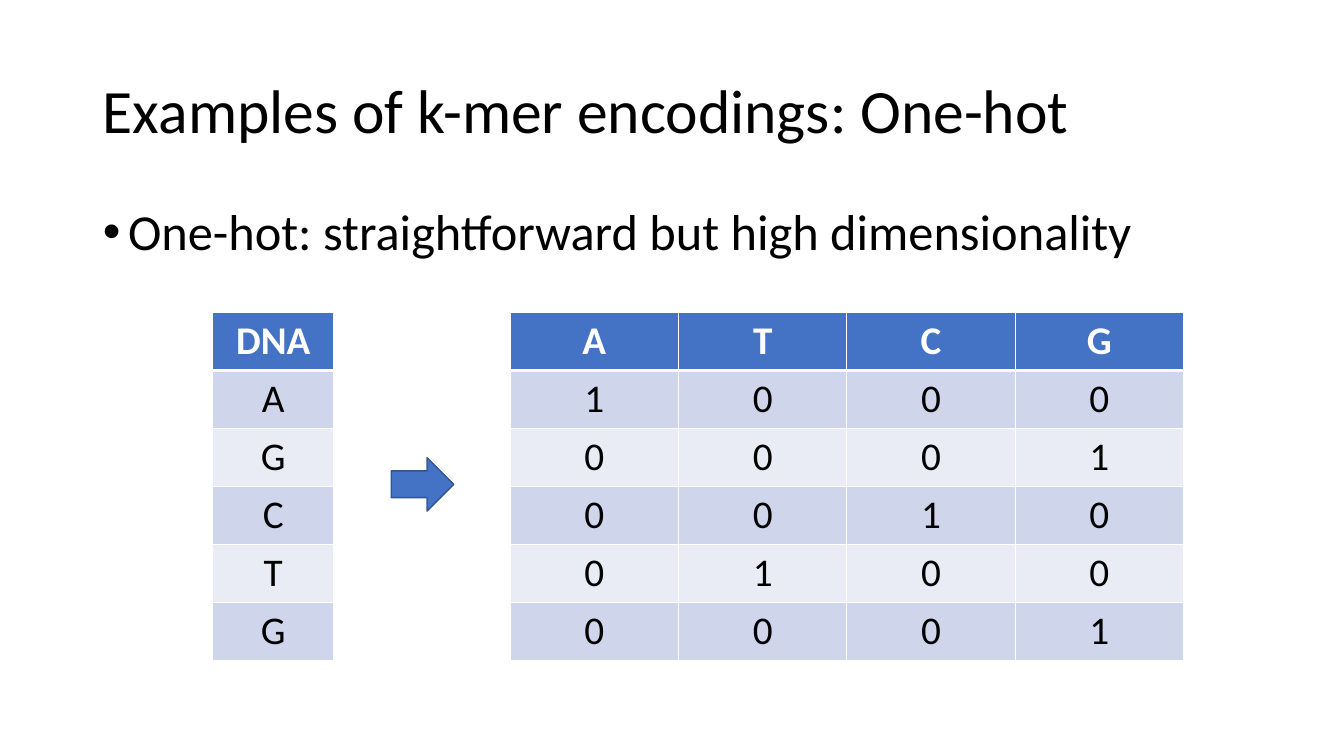
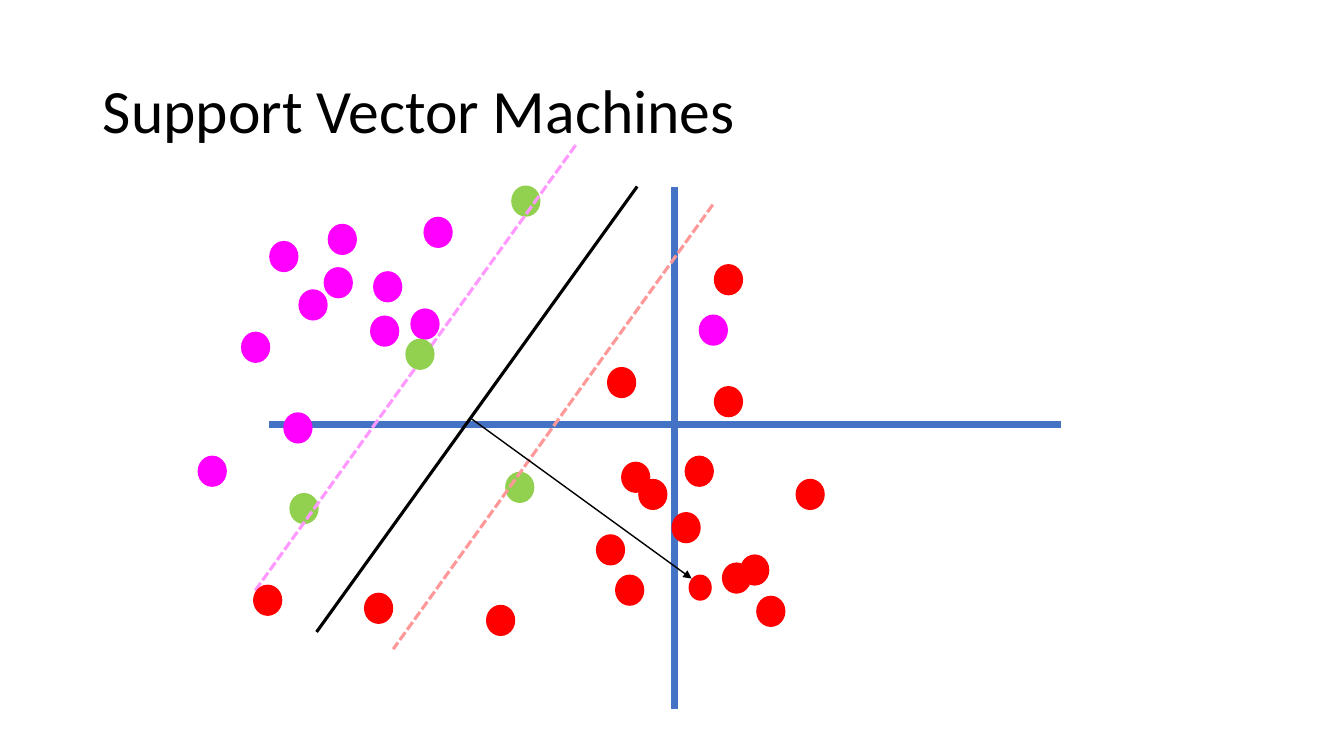
from lxml import etree
from pptx import Presentation
from pptx.dml.color import RGBColor
from pptx.enum import dml, shapes, text
from pptx.oxml import ns
from pptx.util import Inches, Pt

FONT = "Calibri"
COLORS = {
    "black": "000000", "white": "FFFFFF", "blue": "4472C4", "navy": "325491",
    "band_dark": "CFD5EA", "band_light": "E9EBF5",
    "magenta": "FF00FF", "red": "FF0000", "green": "92D050",
    "pink": "FF99FF", "salmon": "FF9999",
}

# Content: one-hot encoding
ENCODING_TITLE = "Examples of k-mer encodings: One-hot"
ENCODING_BULLET = "One-hot: straightforward but high dimensionality"
SEQUENCE = "AGCTG"
BASES = "ATCG"

# Content: support vector machines, dots as (left, top)
SVM_TITLE = "Support Vector Machines"
DOT_SIZE = (0.29, 0.31)
SMALL_DOT_SIZE = (0.23, 0.26)
SMALL_DOT = (6.83, 5.7)
DOTS_BEHIND_LINES = {
    "magenta": [(2.67, 2.39), (2.96, 2.87), (3.25, 2.22), (2.39, 3.29),
                (4.2, 2.15), (4.07, 3.06)],
    "green": [(5.07, 1.84), (2.87, 4.89), (5.01, 4.68)],
    "red": [(6.16, 4.58), (6.79, 4.52), (6.02, 3.64), (7.08, 2.62), (4.82, 6)],
}
DOTS_OVER_LINES = {
    "red": [(5.91, 5.3), (7.08, 3.83), (6.33, 4.75), (6.1, 5.7), (6.66, 5.08),
            (7.89, 4.75), (7.16, 5.58), (7.34, 5.5), (7.5, 5.91),
            (3.61, 5.88), (2.51, 5.8)],
    "magenta": [(3.7, 2.69), (3.21, 2.65), (3.67, 3.13), (2.81, 4.09),
                (1.96, 4.52), (6.93, 3.12)],
    "green": [(4.02, 3.36)],
}
# Lines as start, end, colour, width, dashed
AXES = [
    ((6.69, 1.86), (6.69, 7.03), "blue", 4.5, False),
    ((2.67, 4.21), (10.52, 4.21), "blue", 4.5, False),
]
BOUNDARIES = [
    ((7.07, 2.03), (3.9, 6.44), "salmon", 2.25, True),
    ((5.71, 1.44), (2.53, 5.86), "pink", 2.25, True),
    ((6.32, 1.85), (3.14, 6.27), "black", 2.25, False),
]
NORMAL_VECTOR = ((4.67, 4.15), (6.86, 5.74), "black", 1)


def rgb(name):
    return RGBColor.from_string(COLORS[name])


def sub(parent, tag, **attrs):
    return etree.SubElement(parent, ns.qn(tag), attrs)


def write(tf, content, size, color="black", bold=False, align="LEFT",
          spacing=1.0, before=0):
    p = tf.paragraphs[0]
    p.alignment = getattr(text.PP_ALIGN, align)
    p.line_spacing = spacing
    p.space_before = Pt(before)
    r = p.add_run()
    r.text = content
    r.font.name, r.font.size, r.font.bold = FONT, Pt(size), bold
    r.font.color.rgb = rgb(color)
    return p


def place(sp, left, top, width, height):
    sp.left, sp.top = Inches(left), Inches(top)
    sp.width, sp.height = Inches(width), Inches(height)


def add_slide(prs, layout, title):
    s = prs.slides.add_slide(prs.slide_layouts.get_by_name(layout))
    sp = s.shapes.title
    place(sp, 0.92, 0.4, 11.5, 1.45)
    sp.text_frame.vertical_anchor = text.MSO_ANCHOR.MIDDLE
    sp.text_frame.auto_size = text.MSO_AUTO_SIZE.NONE
    write(sp.text_frame, title, 44, spacing=0.9)
    return s


def add_bullet(sp, content):
    place(sp, 0.92, 2, 11.5, 4.76)
    sp.text_frame.auto_size = text.MSO_AUTO_SIZE.NONE
    p = write(sp.text_frame, content, 36, spacing=0.9, before=10)
    pPr = p._p.get_or_add_pPr()
    pPr.set("marL", str(Inches(0.25)))
    pPr.set("indent", str(Inches(-0.25)))
    sub(pPr, "a:buFont", typeface="Arial")
    sub(pPr, "a:buChar", char="•")


def add_borders(cell, bottom):
    tcPr = cell._tc.get_or_add_tcPr()
    for side, width in (("L", 1), ("R", 1), ("T", 1), ("B", bottom)):
        ln = sub(tcPr, "a:ln" + side, w=str(Pt(width)))
        sub(sub(ln, "a:solidFill"), "a:srgbClr", val=COLORS["white"])


def add_table(s, rows, left, col_width, side_margin, top=3.1, row_height=0.57):
    cols = len(rows[0])
    table = s.shapes.add_table(
        len(rows), cols, Inches(left), Inches(top),
        Inches(col_width * cols), Inches(row_height * len(rows))).table
    for i, row in enumerate(rows):
        header = i == 0
        fill = "blue" if header else "band_dark" if i % 2 else "band_light"
        for j, value in enumerate(row):
            cell = table.cell(i, j)
            cell.margin_left = cell.margin_right = Inches(side_margin)
            add_borders(cell, 3 if header else 1)
            cell.fill.solid()
            cell.fill.fore_color.rgb = rgb(fill)
            write(cell.text_frame, value, 28, bold=header, align="CENTER",
                  color="white" if header else "black")


def add_shape(s, kind, left, top, width, height, fill, line=None):
    sp = s.shapes.add_shape(kind, Inches(left), Inches(top),
                            Inches(width), Inches(height))
    sp.shadow.inherit = False
    sp.fill.solid()
    sp.fill.fore_color.rgb = rgb(fill)
    if line:
        sp.line.color.rgb = rgb(line)
        sp.line.width = Pt(1)
    else:
        sp.line.fill.background()


def add_dot(s, corner, color, size=DOT_SIZE):
    add_shape(s, shapes.MSO_SHAPE.FLOWCHART_CONNECTOR, *corner, *size, color)


def add_dots(s, groups):
    for color, corners in groups.items():
        for corner in corners:
            add_dot(s, corner, color)


def add_line(s, start, end, color, width, dashed=False, arrow=False):
    line = s.shapes.add_connector(shapes.MSO_CONNECTOR.STRAIGHT,
                                  *map(Inches, start + end))
    line.line.color.rgb = rgb(color)
    line.line.width = Pt(width)
    if dashed:
        line.line.dash_style = dml.MSO_LINE.SQUARE_DOT
    if arrow:
        sub(line.line._get_or_add_ln(), "a:tailEnd", type="triangle")
    sub(line._element.spPr, "a:effectLst")


def build_encoding(prs):
    s = add_slide(prs, "Title and Content", ENCODING_TITLE)
    add_bullet(s.placeholders[1], ENCODING_BULLET)
    one_hot = [[str(int(base == letter)) for base in BASES]
               for letter in SEQUENCE]
    add_table(s, [["DNA"], *SEQUENCE], 2.11, 1.2, 0.01)
    add_table(s, [list(BASES), *one_hot], 5.06, 1.67, 0.08)
    add_shape(s, shapes.MSO_SHAPE.RIGHT_ARROW, 3.88, 4.54, 0.62, 0.53,
              "blue", line="navy")


def build_svm(prs):
    s = add_slide(prs, "Title Only", SVM_TITLE)
    for axis in AXES:
        add_line(s, *axis)
    add_dots(s, DOTS_BEHIND_LINES)
    for boundary in BOUNDARIES:
        add_line(s, *boundary)
    add_dots(s, DOTS_OVER_LINES)
    add_dot(s, SMALL_DOT, "red", SMALL_DOT_SIZE)
    add_line(s, *NORMAL_VECTOR, arrow=True)


def main():
    prs = Presentation()
    prs.slide_width, prs.slide_height = Inches(13.33), Inches(7.5)
    build_encoding(prs)
    build_svm(prs)
    prs.save("out.pptx")


if __name__ == "__main__":
    main()
